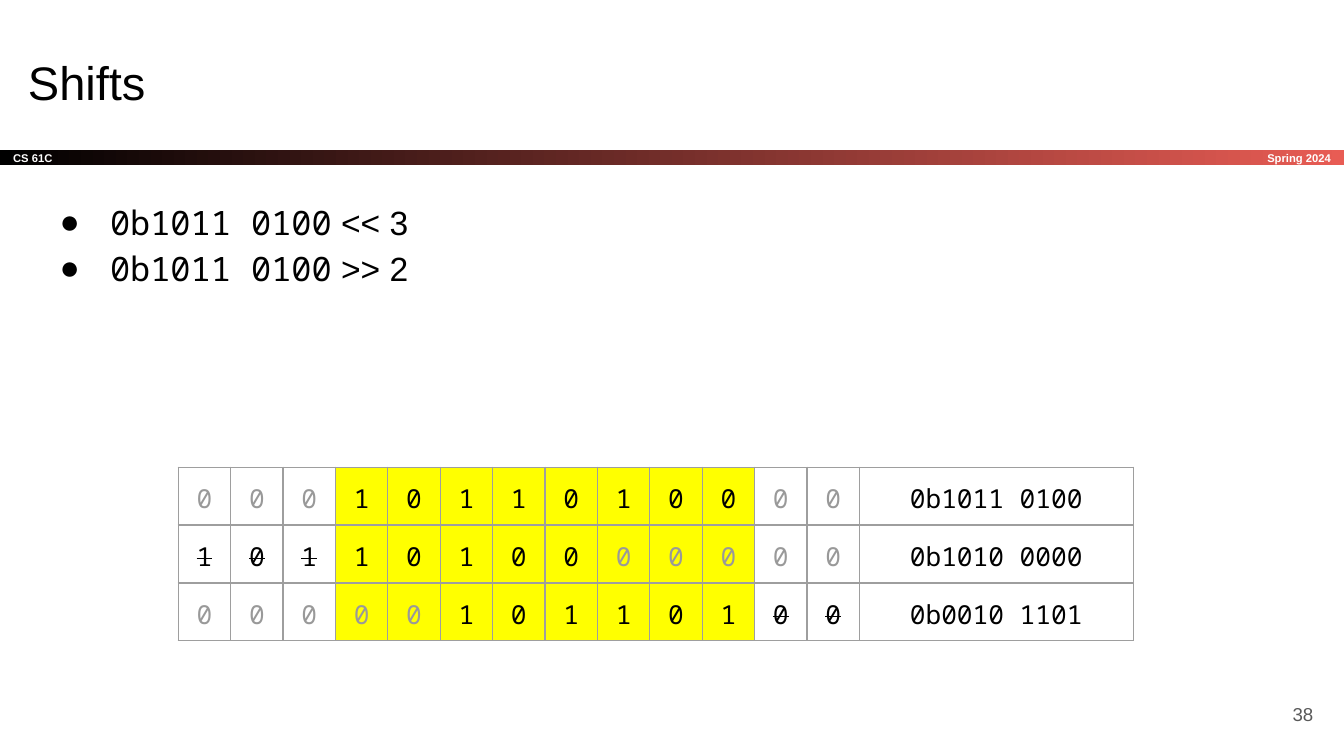
from lxml.etree import SubElement
from pptx import Presentation
from pptx.dml.color import RGBColor
from pptx.enum.shapes import MSO_SHAPE
from pptx.enum.text import MSO_ANCHOR, PP_ALIGN
from pptx.oxml.ns import qn
from pptx.util import Cm, Pt

THEME = {
    "sans": "Arial", "mono": "Noto Sans Mono",
    "ink": "000000", "muted": "999999", "page": "595959", "white": "FFFFFF",
    "accent": "E85C54", "window": "FFFF00", "grid": "9E9E9E",
    "title_pt": 25.2, "body_pt": 18, "cell_pt": 14, "page_pt": 10, "band_pt": 6,
}

TITLE = "Shifts"
COURSE, TERM, PAGE = "CS 61C", "Spring 2024", "38"
BULLETS = [("0b1011 0100", " << 3"), ("0b1011 0100", " >> 2")]
BITS = "10110100"
ROWS = [(0, "0b1011 0100"), (-3, "0b1010 0000"), (2, "0b0010 1101")]  # shift, result
PAD_LEFT, PAD_RIGHT = 3, 2

SLIDE_W, SLIDE_H = Cm(25.4), Cm(14.29)
INSET = Cm(0.25)
BAND_TOP, BAND_H = Cm(2.83), Cm(0.3)
BIT_W, RESULT_W, ROW_H = Cm(0.99), Cm(5.18), Cm(1.07)


def rgb(name):
    return RGBColor.from_string(THEME[name])


def add_run(p, text, size, font="sans", color="ink", bold=False, strike=False):
    r = p.add_run()
    r.text = text
    fmt = {"name": THEME[font], "size": Pt(THEME[size]), "bold": bold}
    for key, value in fmt.items():
        setattr(r.font, key, value)
    r.font.color.rgb = rgb(color)
    if strike:
        r.font._element.set("strike", "sngStrike")


def frame(sp, anchor=MSO_ANCHOR.TOP):
    tf = sp.text_frame
    fmt = {"word_wrap": True, "vertical_anchor": anchor, "margin_left": INSET,
           "margin_right": INSET, "margin_top": INSET, "margin_bottom": INSET}
    for key, value in fmt.items():
        setattr(tf, key, value)
    return tf


def add_text(s, box, text, size, align=PP_ALIGN.LEFT, anchor=MSO_ANCHOR.MIDDLE, **style):
    p = frame(s.shapes.add_textbox(*box), anchor).paragraphs[0]
    p.alignment = align
    add_run(p, text, size, **style)


def add_band(s):
    sp = s.shapes.add_shape(MSO_SHAPE.RECTANGLE, 0, BAND_TOP, SLIDE_W, BAND_H)
    sp.shadow.inherit = False
    sp.line.fill.background()
    sp.fill.gradient()
    sp.fill.gradient_angle = 0
    for stop, color, position in zip(sp.fill.gradient_stops, ("ink", "accent"), (0, 1)):
        stop.color.rgb = rgb(color)
        stop.position = position
    p = frame(sp, MSO_ANCHOR.MIDDLE).paragraphs[0]
    p.alignment = PP_ALIGN.LEFT
    add_run(p, COURSE, "band_pt", color="white", bold=True)
    width = Cm(4.22)
    add_text(s, (SLIDE_W - width, BAND_TOP, width, BAND_H), TERM, "band_pt",
             PP_ALIGN.RIGHT, color="white", bold=True)


def add_bullets(s):
    sp = s.shapes.add_textbox(Cm(0.56), Cm(3.45), Cm(23.67), Cm(10.46))
    sp.line.color.rgb = rgb("white")
    sp.line.width = Pt(0.75)
    tf = frame(sp)
    for i, (number, shift) in enumerate(BULLETS):
        p = tf.add_paragraph() if i else tf.paragraphs[0]
        p.line_spacing = 1.15
        pPr = p._p.get_or_add_pPr()
        pPr.set("marL", str(Cm(1.27)))
        pPr.set("indent", str(-Cm(0.95)))
        color = SubElement(pPr, qn("a:buClr"))
        SubElement(color, qn("a:srgbClr"), val=THEME["ink"])
        SubElement(pPr, qn("a:buFont"), typeface=THEME["sans"])
        SubElement(pPr, qn("a:buChar"), char="●")
        add_run(p, number, "body_pt", "mono")
        add_run(p, shift, "body_pt")


def style_cell(cell, text, fill=None, **style):
    fmt = {"margin_left": INSET, "margin_right": INSET,
           "margin_top": INSET, "margin_bottom": INSET}
    for key, value in fmt.items():
        setattr(cell, key, value)
    tcPr = cell._tc.get_or_add_tcPr()
    for side in ("a:lnL", "a:lnR", "a:lnT", "a:lnB"):
        ln = SubElement(tcPr, qn(side), w=str(Pt(0.75)))
        SubElement(SubElement(ln, qn("a:solidFill")), qn("a:srgbClr"), val=THEME["grid"])
    if fill:
        cell.fill.solid()
        cell.fill.fore_color.rgb = rgb(fill)
    else:
        cell.fill.background()
    p = cell.text_frame.paragraphs[0]
    p.alignment = PP_ALIGN.CENTER
    add_run(p, text, "cell_pt", "mono", **style)


def add_shift_table(s):
    """Slide the bits past a fixed window: zeros pad in grey, lost bits are struck."""
    n = PAD_LEFT + len(BITS) + PAD_RIGHT
    table = s.shapes.add_table(len(ROWS), n + 1, Cm(3.37), Cm(8.83),
                               BIT_W * n + RESULT_W, ROW_H * len(ROWS)).table
    table.first_row = table.horz_banding = False
    for i, column in enumerate(table.columns):
        column.width = BIT_W if i < n else RESULT_W
    for row, (shift, result) in zip(table.rows, ROWS):
        row.height = ROW_H
        for col in range(n):
            bit = col - PAD_LEFT - shift
            is_bit = 0 <= bit < len(BITS)
            in_window = 0 <= col - PAD_LEFT < len(BITS)
            style_cell(row.cells[col], BITS[bit] if is_bit else "0",
                       fill="window" if in_window else None,
                       color="ink" if is_bit else "muted",
                       strike=is_bit and not in_window)
        style_cell(row.cells[n], result)


def main():
    prs = Presentation()
    prs.slide_width, prs.slide_height = SLIDE_W, SLIDE_H
    s = prs.slides.add_slide(prs.slide_layouts[6])
    add_band(s)
    add_text(s, (Cm(0.28), Cm(0.76), Cm(23.67), Cm(1.6)), TITLE, "title_pt",
             anchor=MSO_ANCHOR.TOP)
    add_bullets(s)
    add_shift_table(s)
    add_text(s, (Cm(23.55), Cm(12.95), Cm(1.52), Cm(1.09)), PAGE, "page_pt",
             PP_ALIGN.RIGHT, color="page")
    prs.save("out.pptx")


if __name__ == "__main__":
    main()
